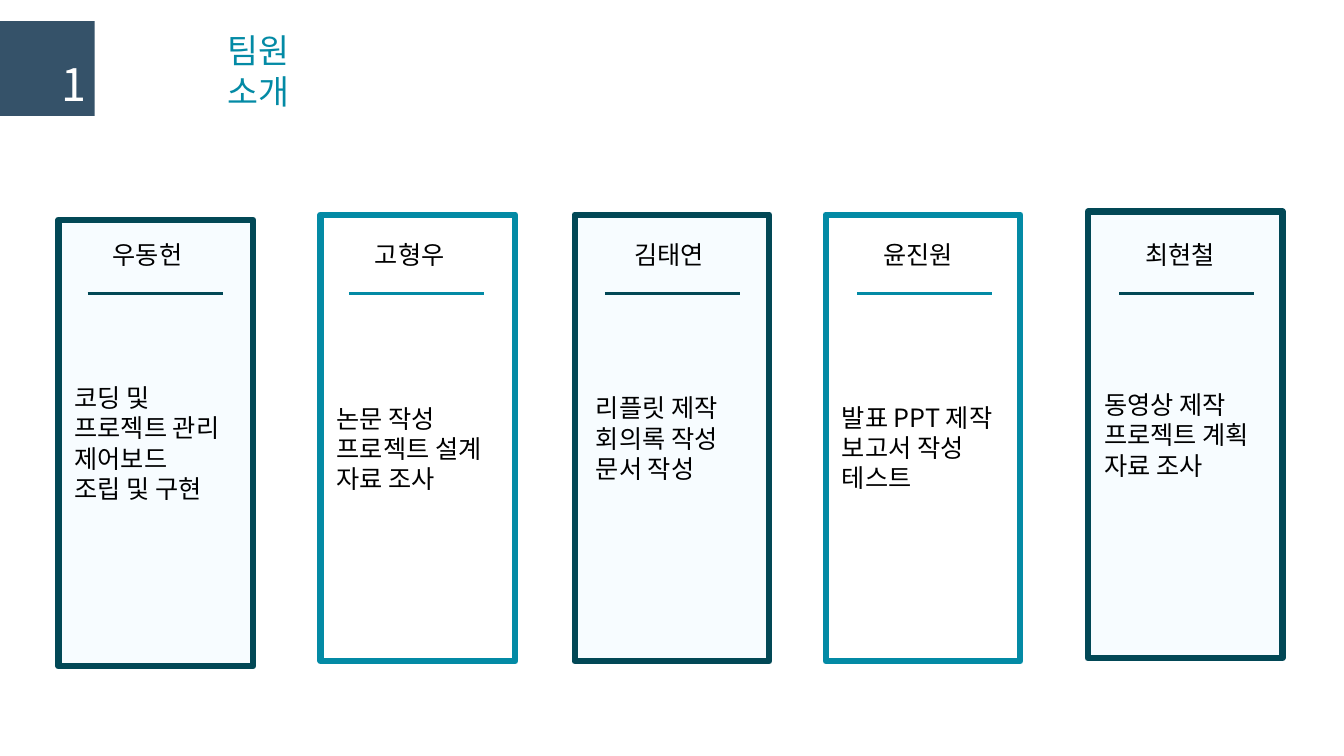
from dataclasses import dataclass

import pptx
import pptx.dml.color
import pptx.enum.shapes
import pptx.enum.text
import pptx.util
from lxml import etree

PX = 9144  # EMU, 100 px to the inch
FONT = "Noto Sans CJK KR"
DARK, TEAL, PALE = "024856", "038AA5", "F7FCFF"
SLATE, WHITE, BLACK = "355269", "FFFFFF", "000000"
CARD_W, CARD_H = 193, 443
RULE_Y, RULE_W = 291, 134
NAME_Y, NAME_W, NAME_H = 233, 102, 40
DUTY_H = 100
INSET = 10
DRAWING_NS = "http://schemas.openxmlformats.org/drawingml/2006/main"
ANCHOR = pptx.enum.text.MSO_ANCHOR


@dataclass
class Member:
    name: str
    duties: list[str]
    x: int
    y: int
    rule_x: int
    name_x: int
    dark: bool
    indent: int = 6
    duty_y: int | None = None  # None: duties sit inside the card


MEMBERS = [
    Member("우동헌", ["코딩 및", "프로젝트 관리", "제어보드", "조립 및 구현"],
           58, 218, 87, 102, True),
    Member("고형우", ["논문 작성", "프로젝트 설계", "자료 조사"],
           318, 213, 346, 362, False, duty_y=395),
    Member("김태연", ["리플릿 제작", "회의록 작성", "문서 작성"],
           570, 213, 600, 619, True, indent=11),
    Member("윤진원", ["발표 PPT 제작", "보고서 작성", "테스트"],
           819, 213, 850, 866, False, duty_y=394),
    Member("최현철", ["동영상 제작", "프로젝트 계획", "자료 조사"],
           1079, 210, 1110, 1126, True),
]


def px(n: int) -> pptx.util.Emu:
    return pptx.util.Emu(n * PX)


def rgb(color: str) -> pptx.dml.color.RGBColor:
    return pptx.dml.color.RGBColor.from_string(color)


def set_text(s, lines: list[str], size: int, color: str,
             anchor=ANCHOR.TOP, wrap: bool = True, indent: int = 0) -> None:
    tf = s.text_frame
    tf.text = "\n".join(lines)
    tf.word_wrap = wrap
    tf.auto_size = pptx.enum.text.MSO_AUTO_SIZE.NONE
    tf.vertical_anchor = anchor
    tf.margin_left = px(INSET + indent)
    tf.margin_right = px(INSET)
    tf.margin_top = tf.margin_bottom = px(5)
    for p in tf.paragraphs:
        p.alignment = pptx.enum.text.PP_ALIGN.LEFT
        p.line_spacing = 1.0
        for r in p.runs:
            r.font.name = FONT
            r.font.size = pptx.util.Pt(size)
            r.font.color.rgb = rgb(color)
            # Korean glyphs take the East Asian typeface
            ea = etree.SubElement(r.font._element, f"{{{DRAWING_NS}}}ea")
            ea.set("typeface", FONT)
            latin = r.font._element.find(f"{{{DRAWING_NS}}}latin")
            latin.addnext(ea)


def add_text(slide, x: int, y: int, w: int, h: int, lines: list[str],
             size: int, color: str, wrap: bool = True, indent: int = 0) -> None:
    s = slide.shapes.add_textbox(px(x), px(y), px(w), px(h))
    set_text(s, lines, size, color, wrap=wrap, indent=indent)


def add_rect(slide, x: int, y: int, w: int, h: int,
             fill: str | None, line: str | None):
    s = slide.shapes.add_shape(pptx.enum.shapes.MSO_SHAPE.RECTANGLE,
                               px(x), px(y), px(w), px(h))
    s.shadow.inherit = False
    if fill:
        s.fill.solid()
        s.fill.fore_color.rgb = rgb(fill)
    else:
        s.fill.background()
    if line:
        s.line.color.rgb = rgb(line)
        s.line.width = pptx.util.Pt(4.5)
    else:
        s.line.fill.background()
    return s


def add_rule(slide, x: int, color: str) -> None:
    s = slide.shapes.add_connector(pptx.enum.shapes.MSO_CONNECTOR.STRAIGHT,
                                   px(x), px(RULE_Y), px(x + RULE_W), px(RULE_Y))
    s.line.color.rgb = rgb(color)
    s.line.width = pptx.util.Pt(2.25)
    etree.SubElement(s._element.spPr, f"{{{DRAWING_NS}}}effectLst")


def add_member(slide, m: Member) -> None:
    color = DARK if m.dark else TEAL
    card = add_rect(slide, m.x, m.y, CARD_W, CARD_H, PALE if m.dark else None, color)
    add_rule(slide, m.rule_x, color)
    add_text(slide, m.name_x, NAME_Y, NAME_W, NAME_H, [m.name], 18, BLACK)
    if m.duty_y is None:
        set_text(card, m.duties, 18, BLACK, ANCHOR.MIDDLE, indent=m.indent)
    else:
        add_text(slide, m.x, m.duty_y, CARD_W, DUTY_H, m.duties, 18, BLACK,
                 indent=m.indent)


def main() -> None:
    prs = pptx.Presentation()
    prs.slide_width, prs.slide_height = px(1333), px(750)
    slide = prs.slides.add_slide(prs.slide_layouts[5])

    # Section number
    add_rect(slide, 0, 21, 94, 94, SLATE, None)
    add_text(slide, 51, 51, 37, 63, ["1"], 32, WHITE, wrap=False)

    # Title, narrow enough to break after the first word
    title = slide.shapes.title
    title.left, title.top, title.width, title.height = px(216), px(25), px(119), px(90)
    set_text(title, ["팀원 소개"], 24, TEAL)

    # Team members
    for m in MEMBERS:
        add_member(slide, m)

    prs.save("out.pptx")


if __name__ == "__main__":
    main()
